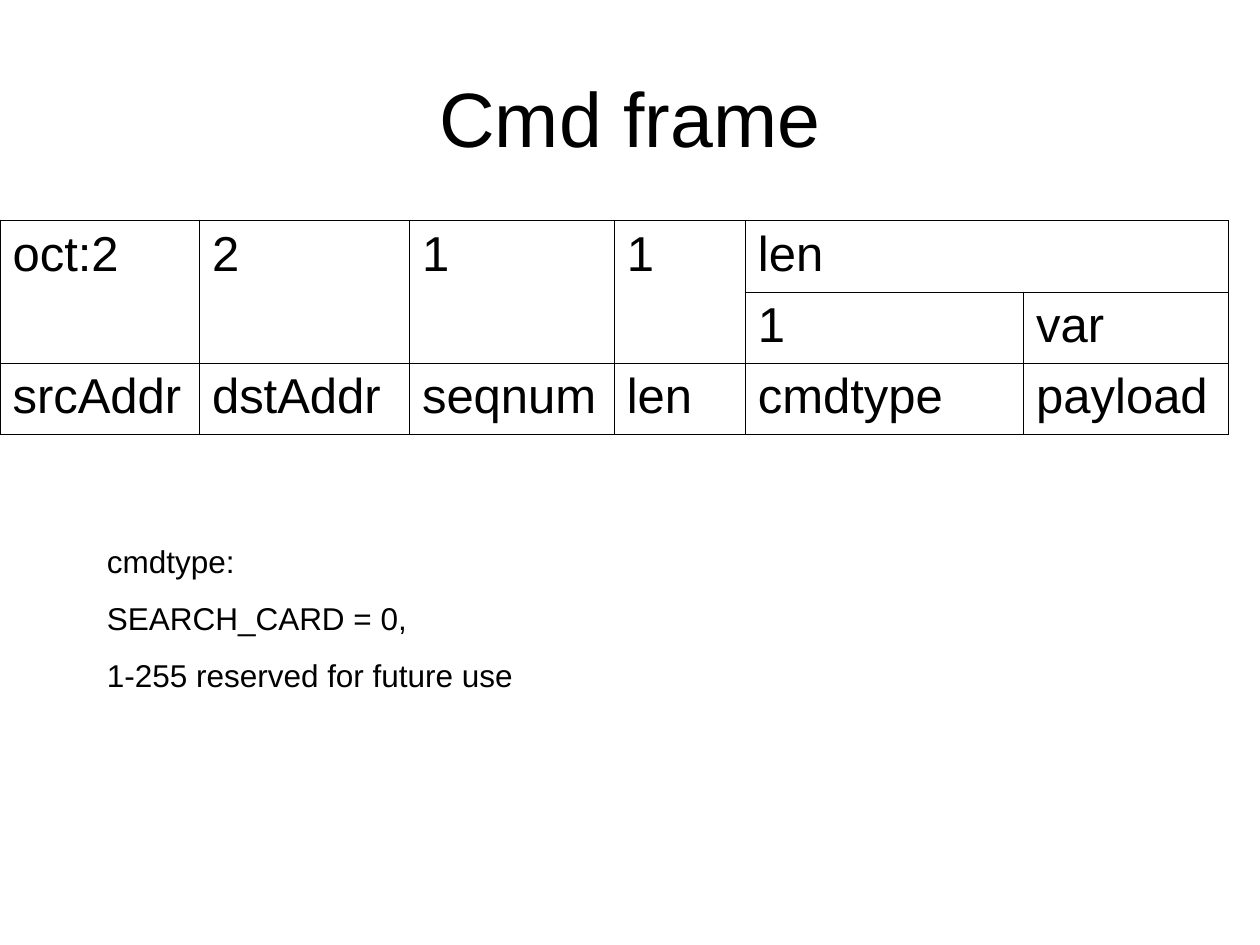
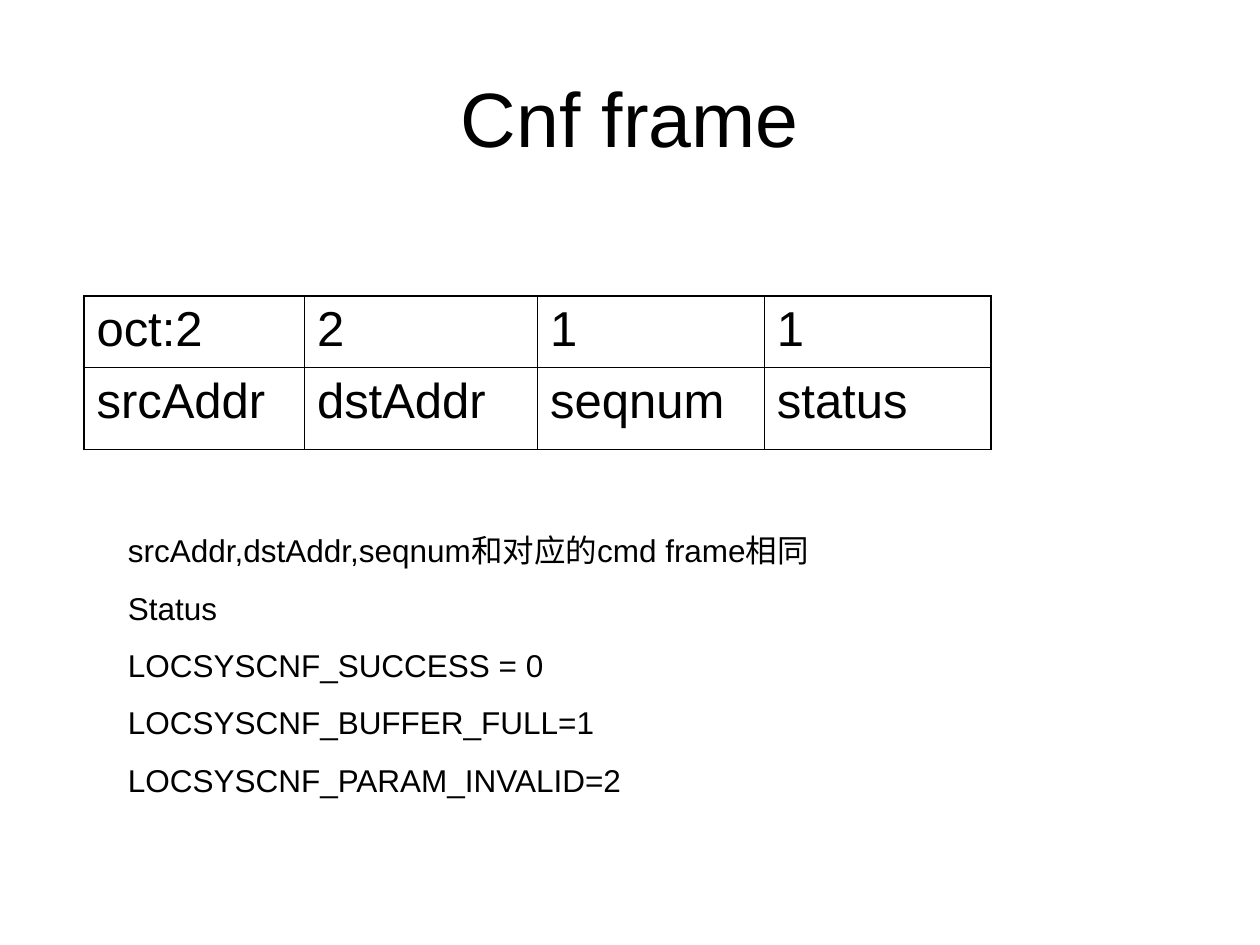
"""Build two slides that describe the command and confirmation frames."""
from dataclasses import dataclass

from lxml import etree
from pptx import Presentation
from pptx.dml.color import RGBColor
from pptx.enum.text import MSO_ANCHOR, MSO_AUTO_SIZE, PP_ALIGN
from pptx.oxml.ns import qn
from pptx.slide import Slide
from pptx.table import _Cell
from pptx.text.text import TextFrame
from pptx.util import Emu, Inches, Pt

CENTER, LEFT = PP_ALIGN.CENTER, PP_ALIGN.LEFT
MIDDLE, TOP = MSO_ANCHOR.MIDDLE, MSO_ANCHOR.TOP
FIXED, GROW = MSO_AUTO_SIZE.NONE, MSO_AUTO_SIZE.SHAPE_TO_FIT_TEXT

COLORS = {"ink": "000000", "paper": "FFFFFF"}
FONT = "Arial"
SLIDE_WIDTH, SLIDE_HEIGHT = Inches(10), Inches(7.5)
GRID_COLUMNS, GRID_ROWS = 120, 90
OUTER_RULE, INNER_RULE = Pt(1.08), Pt(0.45)


@dataclass(frozen=True)
class Area:
    """Place on the slide in grid columns and rows."""
    left: float
    top: float
    width: float
    height: float

    def emu(self) -> tuple[Emu, Emu, Emu, Emu]:
        """Return left, top, width and height as lengths."""
        return across(self.left), down(self.top), across(self.width), down(self.height)


@dataclass(frozen=True)
class TextStyle:
    """Size, spacing and alignment of a paragraph."""
    size: float
    space_before: float = 0
    align: PP_ALIGN = LEFT


@dataclass(frozen=True)
class Field:
    """Table entry with its position and span."""
    row: int
    column: int
    label: str
    row_span: int = 1
    column_span: int = 1


@dataclass(frozen=True)
class FrameSlide:
    """Content of one slide about a frame."""
    title: str
    left: float
    top: float
    widths: tuple[float, ...]
    heights: tuple[float, ...]
    fields: tuple[Field, ...]
    legend_area: Area
    legend: tuple[str, ...]


TITLE_AREA = Area(6, 3.6, 108, 15)
TITLE_STYLE = TextStyle(44, align=CENTER)
FIELD_STYLE = TextStyle(28, 7)
LEGEND_STYLE = TextStyle(18, 11.2)


def across(columns: float) -> Emu:
    """Convert grid columns to a length."""
    return Emu(round(SLIDE_WIDTH * columns / GRID_COLUMNS))


def down(rows: float) -> Emu:
    """Convert grid rows to a length."""
    return Emu(round(SLIDE_HEIGHT * rows / GRID_ROWS))


def field_row(row: int, labels: tuple[str, ...], row_span: int = 1) -> tuple[Field, ...]:
    """Return one field per label, side by side."""
    return tuple(Field(row, column, label, row_span) for column, label in enumerate(labels))


def write(frame: TextFrame, lines: tuple[str, ...], style: TextStyle) -> None:
    """Write each line as a paragraph in the given style."""
    for index, line in enumerate(lines):
        paragraph = frame.add_paragraph() if index else frame.paragraphs[0]
        paragraph.alignment = style.align
        paragraph.space_before = Pt(style.space_before)
        run = paragraph.add_run()
        run.text = line
        run.font.name = FONT
        run.font.size = Pt(style.size)
        run.font.color.rgb = RGBColor.from_string(COLORS["ink"])


def set_borders(cell: _Cell, outer_edges: dict[str, bool]) -> None:
    """Rule the cell, heavier along the outside of the table."""
    properties = cell._tc.get_or_add_tcPr()
    for position, (edge, is_outer) in enumerate(outer_edges.items()):
        width = OUTER_RULE if is_outer else INNER_RULE
        rule = etree.Element(qn(f"a:{edge}"), w=str(int(width)))
        ink = etree.SubElement(rule, qn("a:solidFill"))
        etree.SubElement(ink, qn("a:srgbClr"), val=COLORS["ink"])
        properties.insert(position, rule)


def draw_title(slide: Slide, title: str) -> None:
    """Place and fill the title placeholder."""
    heading = slide.shapes.title
    heading.left, heading.top, heading.width, heading.height = TITLE_AREA.emu()
    heading.text_frame.vertical_anchor = MIDDLE
    heading.text_frame.auto_size = FIXED
    write(heading.text_frame, (title,), TITLE_STYLE)


def draw_fields(slide: Slide, content: FrameSlide) -> None:
    """Draw the table of the frame's fields."""
    row_count, column_count = len(content.heights), len(content.widths)
    area = Area(content.left, content.top, sum(content.widths), sum(content.heights))
    layout = slide.shapes.add_table(row_count, column_count, *area.emu()).table
    layout.first_row = layout.horz_banding = False
    for column, width in zip(layout.columns, content.widths):
        column.width = across(width)
    for row, height in zip(layout.rows, content.heights):
        row.height = down(height)
    for cell in layout.iter_cells():
        cell.fill.background()
    for field in content.fields:
        cell = layout.cell(field.row, field.column)
        end_row = field.row + field.row_span
        end_column = field.column + field.column_span
        if field.row_span * field.column_span > 1:
            cell.merge(layout.cell(end_row - 1, end_column - 1))
        cell.vertical_anchor = TOP
        write(cell.text_frame, (field.label,), FIELD_STYLE)
        set_borders(cell, {
            "lnL": field.column == 0,
            "lnR": end_column == column_count,
            "lnT": field.row == 0,
            "lnB": end_row == row_count,
        })


def draw_legend(slide: Slide, content: FrameSlide) -> None:
    """Draw the explanation below the table."""
    frame = slide.shapes.add_textbox(*content.legend_area.emu()).text_frame
    frame.word_wrap = True
    frame.auto_size = GROW
    write(frame, content.legend, LEGEND_STYLE)


FRAME_SLIDES = (
    FrameSlide(
        title="Cmd frame",
        left=0,
        top=21,
        widths=(19, 20, 19.5, 12.5, 26.5, 19.5),
        heights=(6.8, 6.8, 6.8),
        fields=(
            *field_row(0, ("oct:2", "2", "1", "1"), row_span=2),
            Field(0, 4, "len", column_span=2),
            Field(1, 4, "1"),
            Field(1, 5, "var"),
            *field_row(2, ("srcAddr", "dstAddr", "seqnum", "len", "cmdtype", "payload")),
        ),
        legend_area=Area(9, 51, 67, 15.8),
        legend=("cmdtype:", "SEARCH_CARD = 0,", "1-255 reserved for future use"),
    ),
    FrameSlide(
        title="Cnf frame",
        left=8,
        top=28.2,
        widths=(21, 22.2, 21.6, 21.6),
        heights=(6.8, 7.8),
        fields=(
            *field_row(0, ("oct:2", "2", "1", "1")),
            *field_row(1, ("srcAddr", "dstAddr", "seqnum", "status")),
        ),
        legend_area=Area(11, 50, 80, 26.8),
        legend=(
            "srcAddr,dstAddr,seqnum和对应的cmd frame相同",
            "Status",
            "LOCSYSCNF_SUCCESS = 0",
            "LOCSYSCNF_BUFFER_FULL=1",
            "LOCSYSCNF_PARAM_INVALID=2",
        ),
    ),
)


def main() -> None:
    """Build and save the presentation."""
    deck = Presentation()
    deck.slide_width, deck.slide_height = SLIDE_WIDTH, SLIDE_HEIGHT
    backdrop = deck.slide_master.background.fill
    backdrop.solid()
    backdrop.fore_color.rgb = RGBColor.from_string(COLORS["paper"])
    title_only = deck.slide_layouts.get_by_name("Title Only")
    for content in FRAME_SLIDES:
        slide = deck.slides.add_slide(title_only)
        draw_title(slide, content.title)
        draw_fields(slide, content)
        draw_legend(slide, content)
    deck.save("out.pptx")


if __name__ == "__main__":
    main()
